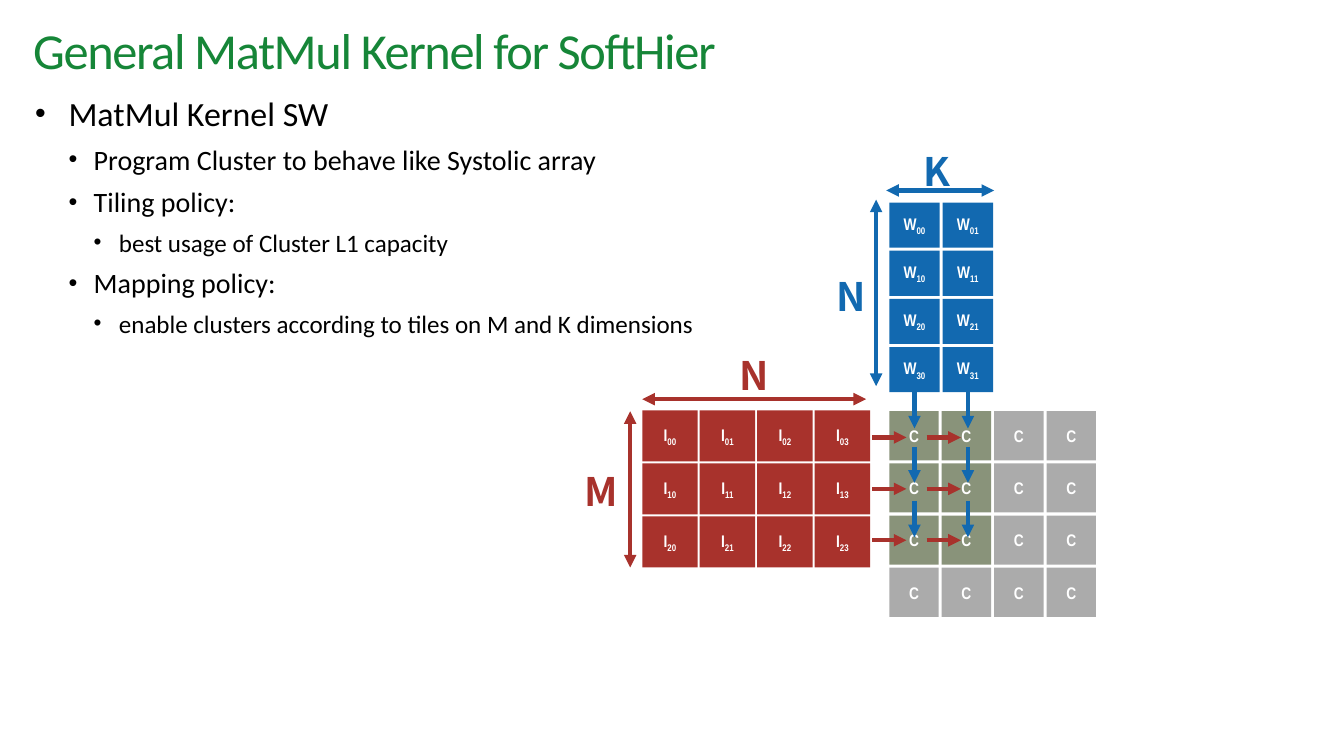
from dataclasses import dataclass

from lxml import etree
from pptx import Presentation
from pptx import util as u
from pptx.dml.color import RGBColor
from pptx.enum import shapes, text
from pptx.oxml.ns import qn

COLORS = {
    "title": "168638", "body": "000000", "white": "FFFFFF",
    "weight": "1269B0", "input": "A8322C", "active": "89937A", "idle": "ABABAB",
}
OUTLINE = [
    (0, "MatMul Kernel SW"),
    (1, "Program Cluster to behave like Systolic array"),
    (1, "Tiling policy:"),
    (2, "best usage of Cluster L1 capacity"),
    (1, "Mapping policy:"),
    (2, "enable clusters according to tiles on M and K dimensions"),
]
LEVELS = [(24.2, 0.33, 0.33), (20, 0.58, 0.25), (17.9, 0.83, 0.25)]


@dataclass
class Grid:
    left: float
    top: float
    width: float
    height: float
    columns: int
    rows: int
    gap: float

    def cell(self, row, column):
        w = (self.width - self.gap * (self.columns - 1)) / self.columns
        h = (self.height - self.gap * (self.rows - 1)) / self.rows
        return self.left + column * (w + self.gap), self.top + row * (h + self.gap), w, h


WEIGHTS = Grid(8.82, 2.01, 1.03, 1.88, columns=2, rows=4, gap=0.03)
INPUTS = Grid(6.37, 4.07, 2.26, 1.56, columns=4, rows=3, gap=0.02)
CLUSTERS = Grid(8.82, 4.08, 2.05, 2.04, columns=4, rows=4, gap=0.03)


def inches(*lengths):
    return [u.Inches(length) for length in lengths]


def style(font, size, name, color, bold=False):
    font.size, font.name, font.bold = u.Pt(size), name, bold
    font.color.rgb = RGBColor.from_string(COLORS[color])


def add_textbox(slide, box, margins):
    frame = slide.shapes.add_textbox(*inches(*box)).text_frame
    frame.word_wrap = True
    frame.margin_left, frame.margin_top, frame.margin_right, frame.margin_bottom = inches(*margins)
    return frame


def add_title(slide, wording):
    frame = add_textbox(slide, (0.33, 0.19, 12.73, 0.68), (0, 0, 0, 0))
    frame.vertical_anchor = text.MSO_ANCHOR.MIDDLE
    frame.text = wording
    heading = frame.paragraphs[0]
    heading.line_spacing = 0.9
    style(heading.runs[0].font, 36, "Calibri", "title")
    heading.runs[0]._r.get_or_add_rPr().set("spc", "-100")


def add_outline(slide):
    frame = add_textbox(slide, (0.35, 0.87, 7.3, 4.57), (0, 0.05, 0, 0.05))
    for number, (level, wording) in enumerate(OUTLINE):
        point = frame.add_paragraph() if number else frame.paragraphs[0]
        size, margin, hanging = LEVELS[level]
        point.text = wording
        point.level = level
        point.space_before = u.Pt(6.3 if number else 0)
        props = point._p.get_or_add_pPr()
        props.set("marL", str(u.Inches(margin)))
        props.set("indent", str(-u.Inches(hanging)))
        etree.SubElement(props, qn("a:buSzPct"), val="90000")
        etree.SubElement(props, qn("a:buFont"), typeface="Arial")
        etree.SubElement(props, qn("a:buChar"), char="•")
        style(point.runs[0].font, size, "Calibri", "body")


def add_tile(slide, box, fill, symbol, index=""):
    tile = slide.shapes.add_shape(shapes.MSO_SHAPE.RECTANGLE, *inches(*box))
    tile.shadow.inherit = False
    tile.fill.solid()
    tile.fill.fore_color.rgb = RGBColor.from_string(COLORS[fill])
    tile.line.fill.background()
    frame = tile.text_frame
    frame.margin_left = frame.margin_top = frame.margin_right = frame.margin_bottom = 0
    frame.vertical_anchor = text.MSO_ANCHOR.MIDDLE
    label = frame.paragraphs[0]
    label.text = symbol
    label.alignment = text.PP_ALIGN.CENTER
    if index:
        subscript = label.add_run()
        subscript.text = index
        subscript._r.get_or_add_rPr().set("baseline", "-25000")
    for run in label.runs:
        style(run.font, 12, "Arial Narrow", "white", bold=True)
    return tile


def add_matrix(slide, grid, fill, symbol):
    return [
        [add_tile(slide, grid.cell(row, column), fill, symbol, f"{row}{column}")
         for column in range(grid.columns)]
        for row in range(grid.rows)
    ]


def add_clusters(slide, active_rows, active_columns):
    for row in range(CLUSTERS.rows):
        for column in range(CLUSTERS.columns):
            active = row < active_rows and column < active_columns
            add_tile(slide, CLUSTERS.cell(row, column), "active" if active else "idle", "C")


def add_arrow(slide, start, end, color, both_ends=False):
    arrow = slide.shapes.add_connector(shapes.MSO_CONNECTOR.STRAIGHT, *inches(*start, *end))
    arrow.line.width = u.Pt(3)
    arrow.line.color.rgb = RGBColor.from_string(COLORS[color])
    outline = arrow.line._get_or_add_ln()
    if both_ends:
        etree.SubElement(outline, qn("a:headEnd"), type="triangle")
    etree.SubElement(outline, qn("a:tailEnd"), type="triangle")
    etree.SubElement(arrow._element.spPr, qn("a:effectLst"))
    return arrow


def add_flows(slide, weight_tiles):
    for column in range(WEIGHTS.columns):
        x = 8.65 + 0.54 * column
        for row in range(INPUTS.rows):
            y = 4.34 + 0.51 * row
            add_arrow(slide, (x, y), (x + 0.34, y), "input")
    for column, source in enumerate(weight_tiles[-1]):
        left, _, width, _ = WEIGHTS.cell(0, column)
        x = left + width / 2
        for row in range(INPUTS.rows):
            y = WEIGHTS.top + WEIGHTS.height + 0.54 * row
            flow = add_arrow(slide, (x, y), (x, y + 0.36), "weight")
            if row == 0:
                flow.begin_connect(source, 2)


def add_dimension(slide, letter, label_at, start, end, color):
    frame = add_textbox(slide, (*label_at, 0.55, 0.57), (0.1, 0.05, 0.1, 0.05))
    frame.text = letter
    style(frame.paragraphs[0].runs[0].font, 28, "Noto Sans CJK SC", color, bold=True)
    add_arrow(slide, start, end, color, both_ends=True)


def main():
    deck = Presentation()
    deck.slide_width, deck.slide_height = inches(13.33, 7.5)
    slide = deck.slides.add_slide(deck.slide_layouts[6])
    add_title(slide, "General MatMul Kernel for SoftHier")
    add_outline(slide)
    weight_tiles = add_matrix(slide, WEIGHTS, "weight", "W")
    add_matrix(slide, INPUTS, "input", "I")
    add_clusters(slide, INPUTS.rows, WEIGHTS.columns)
    add_flows(slide, weight_tiles)
    add_dimension(slide, "M", (5.7, 4.59), (6.25, 4.08), (6.25, 5.63), "input")
    add_dimension(slide, "N", (7.24, 3.44), (6.37, 3.96), (8.59, 3.96), "input")
    add_dimension(slide, "N", (8.2, 2.65), (8.69, 1.98), (8.69, 3.83), "weight")
    add_dimension(slide, "K", (9.06, 1.41), (8.79, 1.89), (9.86, 1.89), "weight")
    deck.save("out.pptx")


if __name__ == "__main__":
    main()
